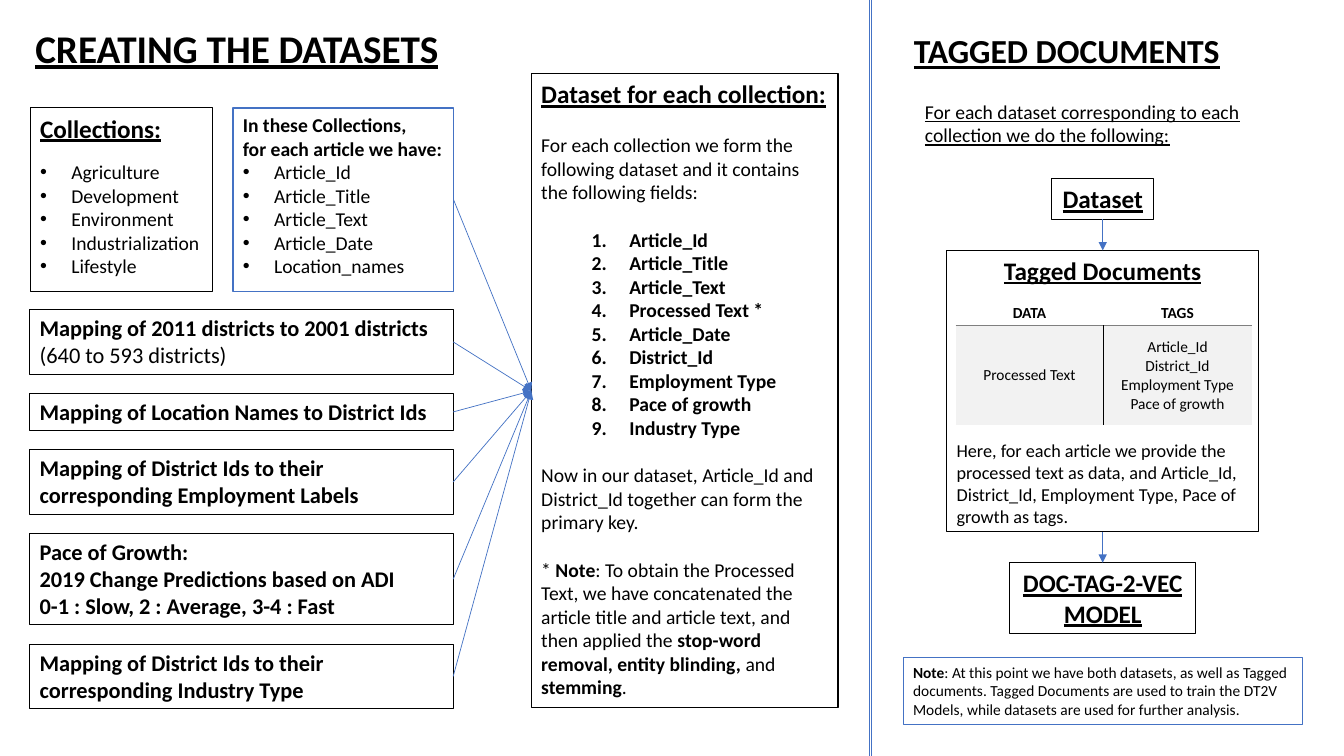
from lxml import etree
from pptx import Presentation
from pptx.dml.color import RGBColor
from pptx.enum.shapes import MSO_CONNECTOR, MSO_SHAPE
from pptx.enum.text import MSO_ANCHOR, PP_ALIGN
from pptx.oxml.ns import qn
from pptx.util import Cm, Pt

RECT, LINE = MSO_SHAPE.RECTANGLE, MSO_CONNECTOR.STRAIGHT
TOP, MIDDLE = MSO_ANCHOR.TOP, MSO_ANCHOR.MIDDLE
LEFT, CENTER = PP_ALIGN.LEFT, PP_ALIGN.CENTER
COLORS = {"ink": "000000", "blue": "4472C4", "grey": "7F7F7F", "pale": "F2F2F2"}
PLAIN_TABLE = "{2D5ABB26-0587-4C30-8999-92F81FD0307C}"
FONT = "Calibri"


def color(name):
    return RGBColor.from_string(COLORS[name])


def mark(para, kind):
    """Give a paragraph a bullet or a number with a hanging indent."""
    props = para._p.get_or_add_pPr()
    left, hang = (0.79, 0.79) if kind == "dot" else (2.22, 0.95)
    props.set("marL", str(Cm(left)))
    props.set("indent", str(-Cm(hang)))
    if kind == "dot":
        etree.SubElement(props, qn("a:buFont")).set("typeface", "Arial")
        etree.SubElement(props, qn("a:buChar")).set("char", "•")
    else:
        etree.SubElement(props, qn("a:buAutoNum")).set("type", "arabicPeriod")


def write(frame, text, size=14, bold=False, under=False, align=LEFT,
          before=0, kind=None):
    """Add one paragraph per line; ** switches bold on and off."""
    for row, line in enumerate(text.split("\n")):
        para = frame.paragraphs[0]
        if para.runs:
            para = frame.add_paragraph()
        if kind:
            mark(para, kind)
        para.alignment = align
        if before and row == 0:
            para.space_before = Pt(before)
        for part, words in enumerate(line.split("**")):
            if not words:
                continue
            run = para.add_run()
            run.text = words
            font = run.font
            font.name, font.size = FONT, Pt(size)
            font.bold = bold != (part % 2 == 1)
            font.underline = under
            font.color.rgb = color("ink")


class Board:
    def __init__(self, slide):
        self.slide = slide
        self.thin, self.edge = Pt(0.5), Pt(0.75)

    def box(self, x, y, w, h, line="ink", width=None):
        shape = self.slide.shapes.add_shape(RECT, Cm(x), Cm(y), Cm(w), Cm(h))
        shape.shadow.inherit = False
        shape.fill.background()
        shape.line.color.rgb = color(line)
        shape.line.width = width or self.edge
        shape.text_frame.word_wrap = True
        shape.text_frame.vertical_anchor = TOP
        return shape

    def label(self, x, y, w, h, text, **style):
        frame = self.slide.shapes.add_textbox(Cm(x), Cm(y), Cm(w), Cm(h)).text_frame
        frame.word_wrap = True
        write(frame, text, under=True, **style)

    def line(self, x=0, y=0, end_x=0, end_y=0):
        wire = self.slide.shapes.add_connector(
            LINE, Cm(x), Cm(y), Cm(end_x), Cm(end_y))
        wire.line.color.rgb = color("blue")
        wire.line.width = self.thin
        etree.SubElement(wire._element.spPr, qn("a:effectLst"))
        return wire

    def arrow(self, start, side, end, end_side):
        wire = self.line()
        wire.begin_connect(start, side)
        wire.end_connect(end, end_side)
        tip = etree.SubElement(wire.line._get_or_add_ln(), qn("a:tailEnd"))
        tip.set("type", "triangle")

    def border(self, cell, **sides):
        """Draw cell borders; give the sides in the order L, R, T, B."""
        props = cell._tc.get_or_add_tcPr()
        for spot, (side, name) in enumerate(sides.items()):
            ln = etree.Element(qn("a:ln" + side), w=str(Pt(1)))
            fill = etree.SubElement(ln, qn("a:solidFill"))
            etree.SubElement(fill, qn("a:srgbClr")).set("val", COLORS[name])
            props.insert(spot, ln)

    def table(self, x, y, widths, heights, rows):
        grid = self.slide.shapes.add_table(
            len(rows), len(widths), Cm(x), Cm(y),
            Cm(sum(widths)), Cm(sum(heights))).table
        grid.first_row = grid.horz_banding = False
        grid._tbl.tblPr.find(qn("a:tableStyleId")).text = PLAIN_TABLE
        for col, width in zip(grid.columns, widths):
            col.width = Cm(width)
        for r, (texts, height) in enumerate(zip(rows, heights)):
            grid.rows[r].height = Cm(height)
            for c, text in enumerate(texts):
                cell = grid.cell(r, c)
                cell.margin_left = cell.margin_right = Cm(0.19)
                cell.margin_top = cell.margin_bottom = 0
                cell.vertical_anchor = MIDDLE
                if r:
                    cell.fill.solid()
                    cell.fill.fore_color.rgb = color("pale")
                else:
                    cell.fill.background()
                write(cell.text_frame, text, size=11, bold=r == 0, align=CENTER)
        return grid


def main():
    deck = Presentation()
    deck.slide_width, deck.slide_height = Cm(33.87), Cm(19.05)
    board = Board(deck.slides.add_slide(deck.slide_layouts[6]))

    # Headings and divider
    board.label(0.64, 0.48, 10.8, 1.45, "CREATING THE DATASETS", size=28, bold=True)
    board.label(22.78, 0.64, 9.68, 1.27, "TAGGED DOCUMENTS", size=24, bold=True)
    board.label(23.06, 2.39, 8.97, 1.45, "For each dataset corresponding to each "
                "collection we do the following:")
    for x in (21.9, 21.97):
        board.line(x, 0, x, 19.05)

    # Collections and their articles
    topics = board.box(0.76, 2.72, 4.6, 4.62).text_frame
    write(topics, "Collections:", size=18, bold=True, under=True)
    write(topics, "Agriculture\nDevelopment\nEnvironment\nIndustrialization\nLifestyle",
          before=12.2, kind="dot")
    fields = board.box(5.87, 2.72, 5.56, 4.62, "blue", Pt(1))
    write(fields.text_frame, "In these Collections,\nfor each article we have:", bold=True)
    write(fields.text_frame, "Article_Id\nArticle_Title\nArticle_Text\nArticle_Date\n"
          "Location_names", kind="dot")

    # Mappings, stacked with equal gaps
    inputs = [fields]
    y = 7.8
    for height, text in (
            (1.63, "Mapping of 2011 districts to 2001 districts\n"
                   "**(640 to 593 districts)**"),
            (0.94, "Mapping of Location Names to District Ids"),
            (1.63, "Mapping of District Ids to their corresponding Employment Labels"),
            (2.31, "Pace of Growth:\n2019 Change Predictions based on ADI\n"
                   "0-1 : Slow, 2 : Average, 3-4 : Fast"),
            (1.63, "Mapping of District Ids to their corresponding Industry Type")):
        shape = board.box(0.75, y, 10.67, height)
        write(shape.text_frame, text, size=16, bold=True)
        inputs.append(shape)
        y += height + 0.48

    # Dataset for each collection
    result = board.box(13.39, 1.86, 7.73, 15.98)
    frame = result.text_frame
    gap = 17.1
    write(frame, "Dataset for each collection:", size=18, bold=True, under=True)
    write(frame, "For each collection we form the following dataset and it contains "
          "the following fields:", before=gap)
    write(frame, "Article_Id\nArticle_Title\nArticle_Text\nProcessed Text *\n"
          "Article_Date\nDistrict_Id\nEmployment Type\nPace of growth\nIndustry Type",
          bold=True, before=gap, kind="number")
    write(frame, "Now in our dataset, Article_Id and District_Id together can form "
          "the primary key.", before=gap)
    write(frame, "* **Note**: To obtain the Processed Text, we have concatenated the "
          "article title and article text, and then applied the **stop-word removal, "
          "entity blinding, **and** stemming**.", before=gap)
    for shape in inputs:
        board.arrow(shape, 3, result, 1)

    # Flow from dataset to model, on one centre line
    mid = 27.79
    head = {"size": 18, "bold": True, "under": True, "align": CENTER}
    steps = []
    for y, w, h, text in ((4.5, 2.58, 1.03, "Dataset"),
                          (6.31, 7.86, 7.09, "Tagged Documents"),
                          (14.18, 4.68, 1.79, "DOC-TAG-2-VEC\nMODEL")):
        shape = board.box(mid - w / 2, y, w, h)
        write(shape.text_frame, text, **head)
        steps.append(shape)
    write(steps[1].text_frame, "Here, for each article we provide the processed text as "
          "data, and Article_Id, District_Id, Employment Type, Pace of growth as tags.",
          size=13, before=110)
    for start, end in zip(steps, steps[1:]):
        board.arrow(start, 2, end, 0)

    # Data and tags
    grid = board.table(24.08, 7.57, (3.73, 3.73), (0.64, 2.49), (
        ("DATA", "TAGS"),
        ("Processed Text", "Article_Id\nDistrict_Id\nEmployment Type\nPace of growth")))
    for c in range(2):
        board.border(grid.cell(0, c), B="grey")
    board.border(grid.cell(1, 0), R="ink", T="grey")
    board.border(grid.cell(1, 1), L="ink", T="grey")

    # Closing note
    note = board.box(22.76, 16.58, 10.06, 1.69, "blue")
    write(note.text_frame, "**Note**: At this point we have both datasets, as well as "
          "Tagged documents. Tagged Documents are used to train the DT2V Models, while "
          "datasets are used for further analysis.", size=11)

    deck.save("out.pptx")


if __name__ == "__main__":
    main()
